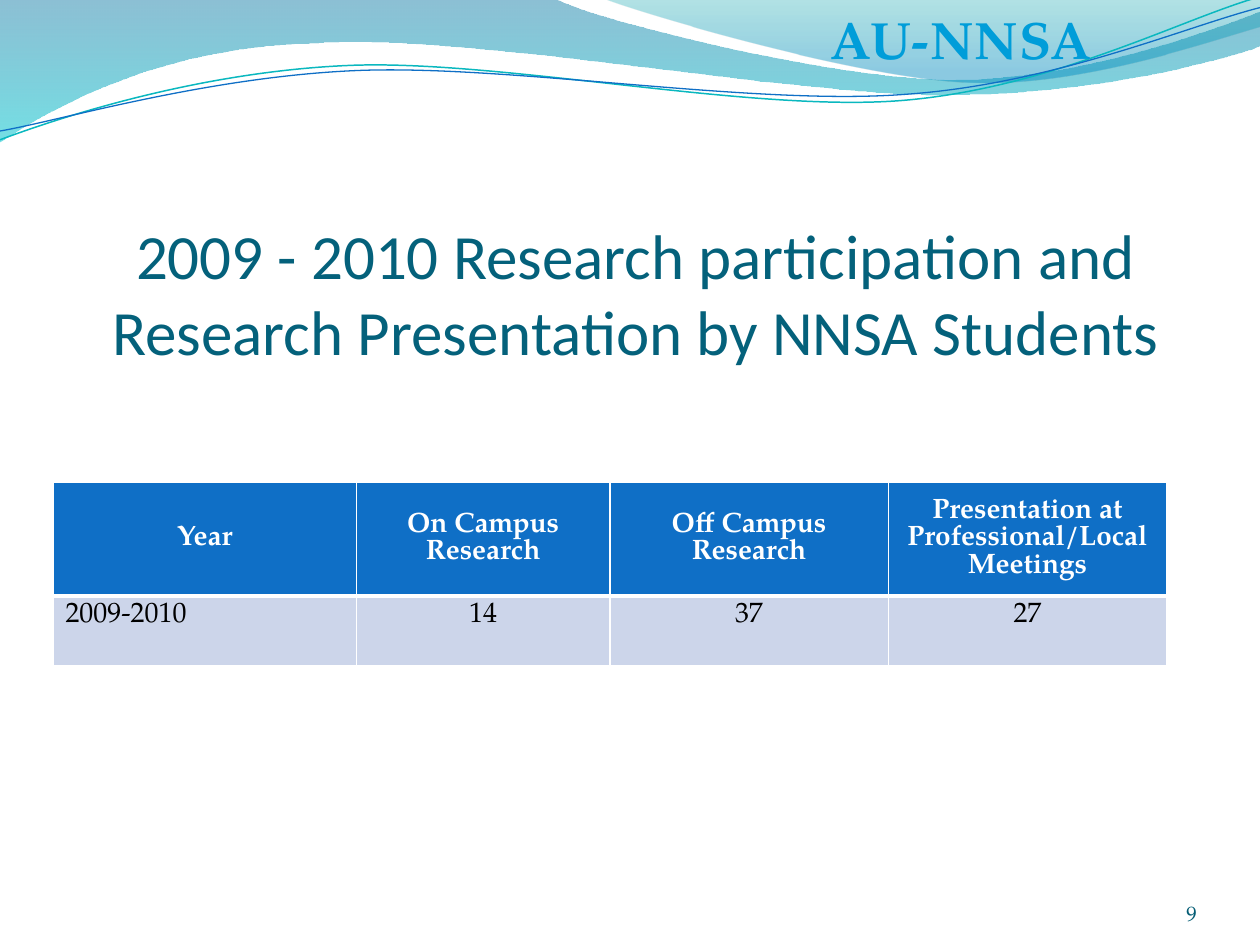
from math import cos, radians, sin
from lxml.etree import SubElement
from pptx import Presentation
from pptx.dml.color import RGBColor
from pptx.enum.text import MSO_ANCHOR, PP_ALIGN
from pptx.oxml.ns import qn
from pptx.util import Inches, Pt

SERIF = "TeX Gyre Pagella"
TITLE = "2009 - 2010 Research participation and Research Presentation by NNSA Students"
HEADER = ["Year", "On Campus Research", "Off Campus Research",
          "Presentation at Professional/Local Meetings"]
RECORD = ["2009-2010", "14", "37", "27"]
COLUMN_WIDTHS = [2.41, 2.01, 2.21, 2.21]
ROW_HEIGHTS = [0.89, 0.55]

# Box, then outline in inches: a pair is a line end, six numbers are a Bezier curve
# Gradient stops: position, colour, opacity in percent
BANDS = [
    ((-0.01, -0.01, 10.02, 1.14),
     [(0, 0), (4.4, -0.01), (4.76, 0.17, 6.64, 0.63, 7.58, 0.63),
      (8.53, 0.63, 9.58, 0.26, 10, 0.09), (10.01, 0.36),
      (9.83, 0.44, 8.7, 0.76, 7.46, 0.75), (6.22, 0.75, 3.82, 0.28, 2.57, 0.34),
      (1.29, 0.36, 0.46, 0.83, -0.01, 1.13), (0, 0)],
     [(0, "0074A1", 45), (1, "00C6CF", 55)]),
    ((4.79, -0.01, 5.21, 0.7),
     [(4.79, -0.01), (5.09, 0.11, 6.82, 0.62, 7.69, 0.65),
      (8.56, 0.69, 9.61, 0.32, 10, 0.21), (10, 0), (4.79, -0.01)],
     [(0, "00A1A9", 30), (0.8, "008BBF", 45)]),
]
WAVES = [
    ((-0.02, 0.22, 10.02, 0.71),
     [(0, 1.11), (0.48, 0.93, 1.58, 0.57, 2.77, 0.52),
      (3.95, 0.47, 5.93, 0.89, 7.13, 0.8), (8.33, 0.71, 9.38, 0.15, 9.98, -0.02)],
     "0AB8BF", 0.85),
    ((-0.02, 0.3, 10.03, 0.58),
     [(0, 1.04), (0.47, 0.96, 1.64, 0.61, 2.83, 0.56),
      (4.03, 0.51, 5.97, 0.84, 7.17, 0.75), (8.36, 0.67, 9.41, 0.21, 10, 0.06)],
     "0F6FC6", 0.75),
]
WAVE_TILT = -2.7


def color(value):
    return RGBColor.from_string(value)


def write(frame, text, size, text_color, font=SERIF, bold=False,
          align=PP_ALIGN.CENTER, anchor=MSO_ANCHOR.MIDDLE):
    frame.word_wrap = True
    frame.vertical_anchor = anchor
    paragraph = frame.paragraphs[0]
    paragraph.alignment = align
    run = paragraph.add_run()
    run.text = text
    run.font.size, run.font.name, run.font.bold = Pt(size), font, bold
    run.font.color.rgb = color(text_color)
    return run


def set_margins(frame, top=0):
    frame.margin_left = frame.margin_right = frame.margin_bottom = 0
    frame.margin_top = Inches(top)


def add_outline(shapes, box, outline, tilt=0, close=False):
    """Add a freeform whose segments are true Bezier curves."""
    left, top, width, height = box
    center_x, center_y = left + width / 2, top + height / 2
    cosine, sine = cos(radians(-tilt)), sin(radians(-tilt))

    def local_point(x, y):
        x, y = x - center_x, y - center_y
        return {"x": str(Inches(x * cosine - y * sine + width / 2)),
                "y": str(Inches(x * sine + y * cosine + height / 2))}

    ends = [(Inches(segment[-2]), Inches(segment[-1])) for segment in outline]
    builder = shapes.build_freeform(*ends[0])
    builder.add_line_segments(ends[1:], close=close)
    shape = builder.convert_to_shape()
    shape.left, shape.top, shape.width, shape.height = map(Inches, box)
    shape.rotation = tilt
    shape.shadow.inherit = False

    geometry = next(shape._element.iter(qn("a:path")))
    geometry.set("w", str(Inches(width)))
    geometry.set("h", str(Inches(height)))
    for child in list(geometry):
        geometry.remove(child)
    for index, segment in enumerate(outline):
        tag = "a:cubicBezTo" if len(segment) == 6 else "a:lnTo" if index else "a:moveTo"
        command = SubElement(geometry, qn(tag))
        for x, y in zip(segment[::2], segment[1::2]):
            SubElement(command, qn("a:pt"), local_point(x, y))
    if close:
        SubElement(geometry, qn("a:close"))
    return shape


def set_borders(cell, bottom, top):
    properties = cell._tc.get_or_add_tcPr()
    widths = {"a:lnL": 1, "a:lnR": 1, "a:lnT": top, "a:lnB": bottom}
    for index, (tag, width) in enumerate(widths.items()):
        line = SubElement(properties, qn(tag), w=str(Pt(width)))
        fill = SubElement(line, qn("a:solidFill"))
        SubElement(fill, qn("a:srgbClr"), val="FFFFFF")
        properties.insert(index, line)


presentation = Presentation()
presentation.slide_width, presentation.slide_height = Inches(10), Inches(7.5)
slide = presentation.slides.add_slide(presentation.slide_layouts[5])
shapes = slide.shapes

# Wave decoration
for box, outline, stops in BANDS:
    band = add_outline(shapes, box, outline, close=True)
    band.line.fill.background()
    band.fill.gradient()
    band.fill.gradient_angle = 270
    for stop, (position, stop_color, _) in zip(band.fill.gradient_stops, stops):
        stop.position = position
        stop.color.rgb = color(stop_color)
    for node, (_, _, opacity) in zip(band._element.spPr.iter(qn("a:srgbClr")), stops):
        SubElement(node, qn("a:alpha"), val=str(opacity * 1000))
for box, outline, line_color, width in WAVES:
    wave = add_outline(shapes, box, outline, tilt=WAVE_TILT)
    wave.fill.background()
    wave.line.color.rgb = color(line_color)
    wave.line.width = Pt(width)

# Title
title = shapes.title
title.left, title.top = Inches(0.67), Inches(1.67)
title.width, title.height = Inches(8.75), Inches(1.33)
set_margins(title.text_frame, top=0.05)
write(title.text_frame, TITLE, 36, "04617B", font="Calibri", anchor=MSO_ANCHOR.TOP)

# Programme name
name_box = shapes.add_textbox(Inches(6.42), 0, Inches(2.42), Inches(0.61))
name_run = write(name_box.text_frame, "AU-NNSA", 30, "009DD9", bold=True)
name_run.font._element.set("spc", "50")

# Participation table
table = shapes.add_table(2, len(HEADER), Inches(0.42), Inches(3.83),
                         Inches(sum(COLUMN_WIDTHS)), Inches(sum(ROW_HEIGHTS))).table
for column, width in zip(table.columns, COLUMN_WIDTHS):
    column.width = Inches(width)
for row_index, texts in enumerate([HEADER, RECORD]):
    is_header = row_index == 0
    table.rows[row_index].height = Inches(ROW_HEIGHTS[row_index])
    for column_index, text in enumerate(texts):
        cell = table.cell(row_index, column_index)
        cell.fill.solid()
        cell.fill.fore_color.rgb = color("0F6FC6" if is_header else "CCD5EA")
        cell.vertical_anchor = MSO_ANCHOR.MIDDLE if is_header else MSO_ANCHOR.TOP
        is_label = not is_header and column_index == 0
        write(cell.text_frame, text, 16, "FFFFFF" if is_header else "000000",
              bold=is_header, anchor=None,
              align=PP_ALIGN.LEFT if is_label else PP_ALIGN.CENTER)
        set_borders(cell, bottom=3 if is_header else 1, top=1 if is_header else 3)

# Page number
number_box = shapes.add_textbox(Inches(8.67), Inches(6.95), Inches(0.83), Inches(0.4))
set_margins(number_box.text_frame)
write(number_box.text_frame, "9", 12, "045D75", align=PP_ALIGN.RIGHT,
      anchor=MSO_ANCHOR.BOTTOM)

presentation.save("out.pptx")
